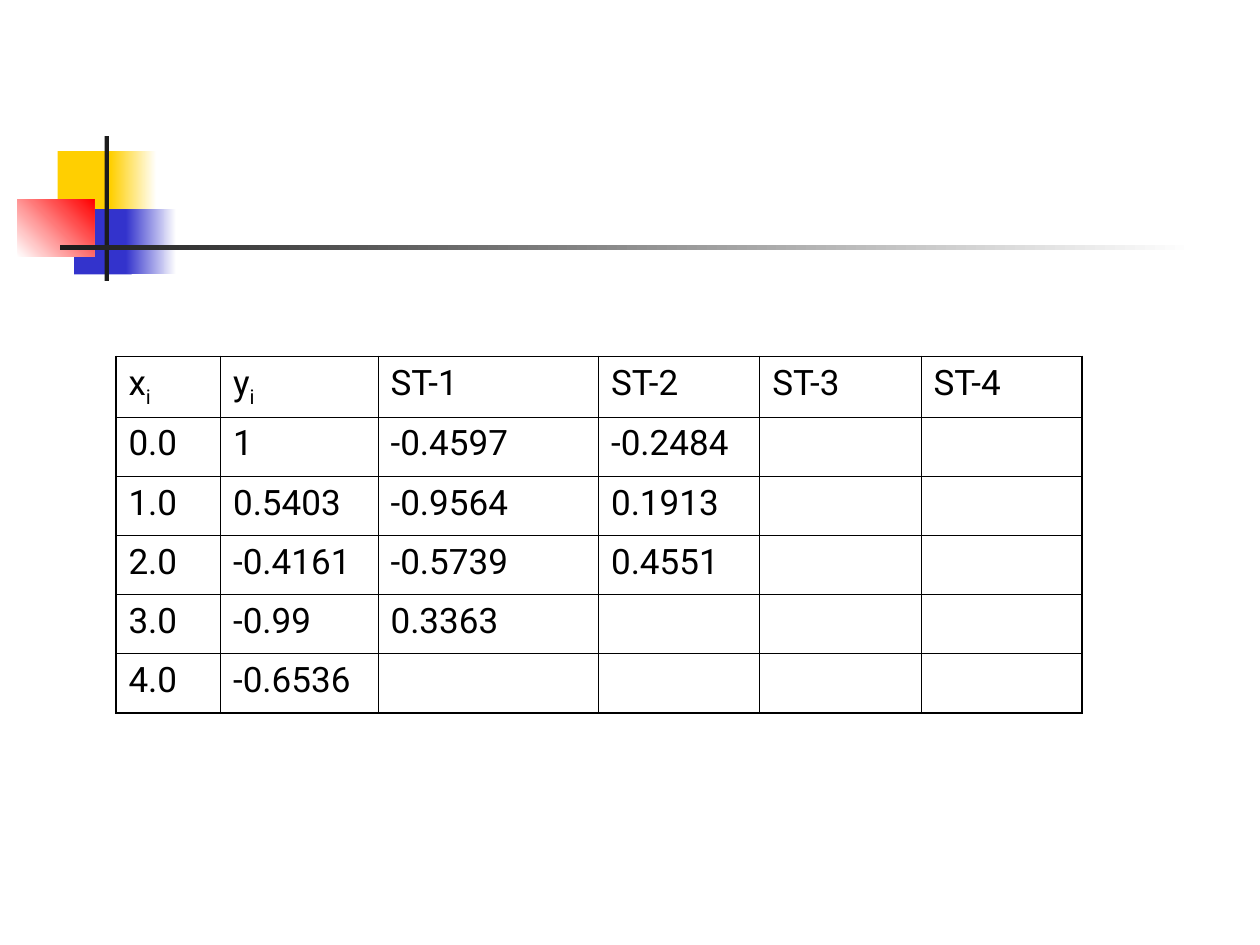
from lxml import etree
from pptx import Presentation
from pptx import util as u
from pptx.dml.color import RGBColor
from pptx.enum import shapes
from pptx.oxml.ns import qn

COLORS = {"yellow": "FFCF01", "blue": "3333CC", "red": "FF0000",
          "dark": "1C1C1C", "white": "FFFFFF", "black": "000000"}
FONT = "Roboto"
WIDTH, HEIGHT = 10, 7.5
INNER, OUTER = 0.45, 1.08
COLUMNS = [0.83, 1.25, 1.75, 1.28, 1.28, 1.28]
HEADER = ["x_i", "y_i", "ST-1", "ST-2", "ST-3", "ST-4"]
VALUES = [
    ["0.0", "1", "-0.4597", "-0.2484"],
    ["1.0", "0.5403", "-0.9564", "0.1913"],
    ["2.0", "-0.4161", "-0.5739", "0.4551"],
    ["3.0", "-0.99", "0.3363"],
    ["4.0", "-0.6536"],
]


def rgb(name):
    return RGBColor.from_string(COLORS[name])


def add_bar(slide, box, start, end=None, angle=0):
    sp = slide.shapes.add_shape(shapes.MSO_SHAPE.RECTANGLE, *map(u.Inches, box))
    sp.shadow.inherit = False
    sp.line.fill.background()
    if end:
        sp.fill.gradient()
        sp.fill.gradient_angle = angle
        for stop, name, position in zip(sp.fill.gradient_stops, (start, end), (0, 1)):
            stop.color.rgb = rgb(name)
            stop.position = position
    else:
        sp.fill.solid()
        sp.fill.fore_color.rgb = rgb(start)


def add_ornament(slide, box):
    left, top, width, height = box
    parts = [
        ((0.034, 0.104, 0.051, 0.452), "yellow", None, 0),
        ((0.079, 0.104, 0.039, 0.452), "yellow", "white", 0),
        ((0.048, 0.504, 0.049, 0.452), "blue", None, 0),
        ((0.092, 0.504, 0.043, 0.452), "blue", "white", 0),
        ((0, 0.435, 0.065, 0.4), "white", "red", 45),
        ((0.074, 0, 0.0035, 1), "dark", None, 0),
        ((0.036, 0.755, 0.964, 0.03), "dark", "white", 0),
    ]
    for (x, y, w, h), start, end, angle in parts:
        place = (left + x * width, top + y * height, w * width, h * height)
        add_bar(slide, place, start, end, angle)


def write(tf, content, size=20, color="black", before=5):
    p = tf.paragraphs[0]
    p.space_before = u.Pt(before)
    p.font.size = u.Pt(size)
    for i, part in enumerate(content.split("_")):
        r = p.add_run()
        r.text = part
        r.font.name = FONT
        r.font.size = u.Pt(size)
        r.font.color.rgb = rgb(color)
        if i:
            r.font._element.set("baseline", "-25000")


def set_borders(cell, widths):
    tc_pr = cell._tc.get_or_add_tcPr()
    for side, width in widths.items():
        ln = etree.SubElement(tc_pr, qn(f"a:ln{side}"), w=str(u.Pt(width)))
        fill = etree.SubElement(ln, qn("a:solidFill"))
        etree.SubElement(fill, qn("a:srgbClr"), val=COLORS["black"])


def add_difference_table(slide, box):
    rows = [HEADER] + VALUES
    n_rows, n_cols = len(rows), len(COLUMNS)
    table = slide.shapes.add_table(n_rows, n_cols, *map(u.Inches, box)).table
    table.first_row = table.horz_banding = False
    for column, width in zip(table.columns, COLUMNS):
        column.width = u.Inches(width)
    for i, row in enumerate(table.rows):
        row.height = u.Inches(0.47 if i else 0.48)
        for j, cell in enumerate(row.cells):
            set_borders(cell, {
                "L": INNER if j else OUTER,
                "R": OUTER if j == n_cols - 1 else INNER,
                "T": INNER if i else OUTER,
                "B": OUTER if i == n_rows - 1 else INNER,
            })
            cell.fill.background()
            if j < len(rows[i]):
                write(cell.text_frame, rows[i][j])


def main():
    prs = Presentation()
    prs.slide_width, prs.slide_height = u.Inches(WIDTH), u.Inches(HEIGHT)
    slide = prs.slides.add_slide(prs.slide_layouts[6])
    add_ornament(slide, (0.14, 1.08, 9.34, 1.15))
    add_difference_table(slide, (0.92, 2.83, sum(COLUMNS), 2.83))
    prs.save("out.pptx")


if __name__ == "__main__":
    main()
